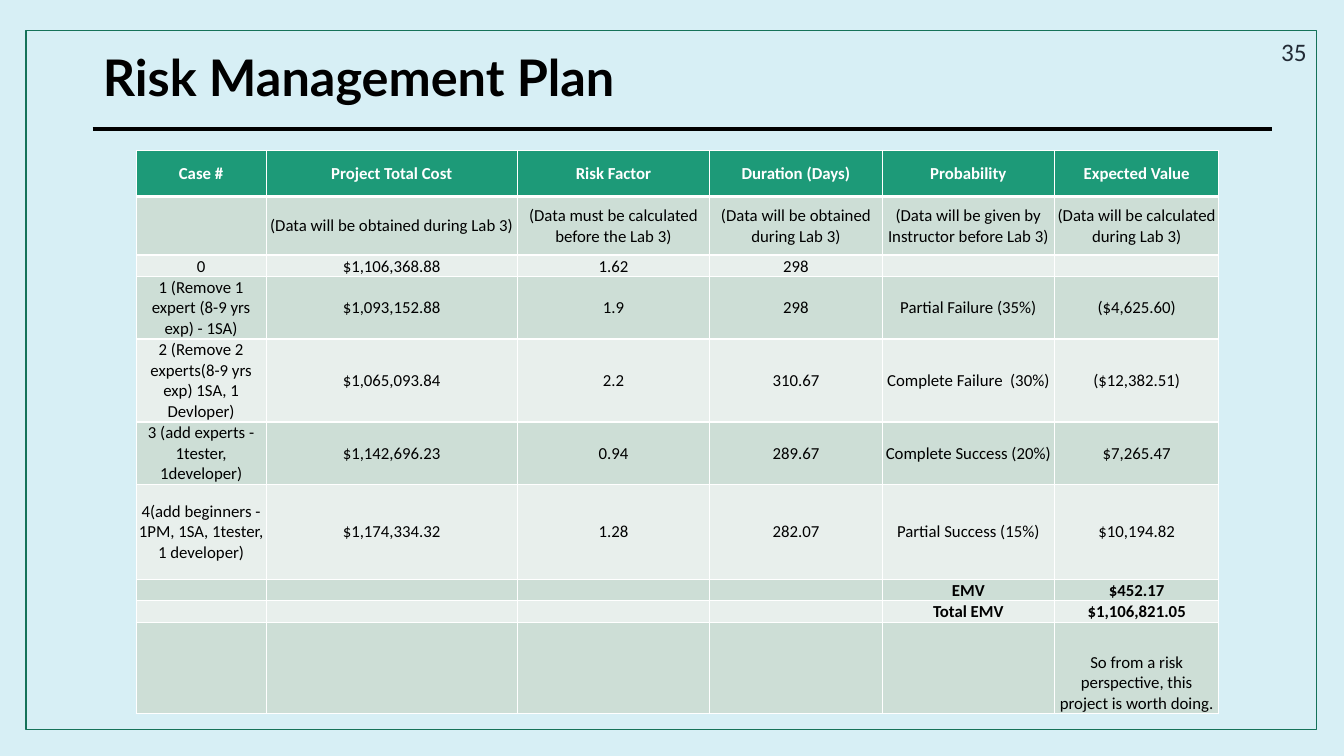
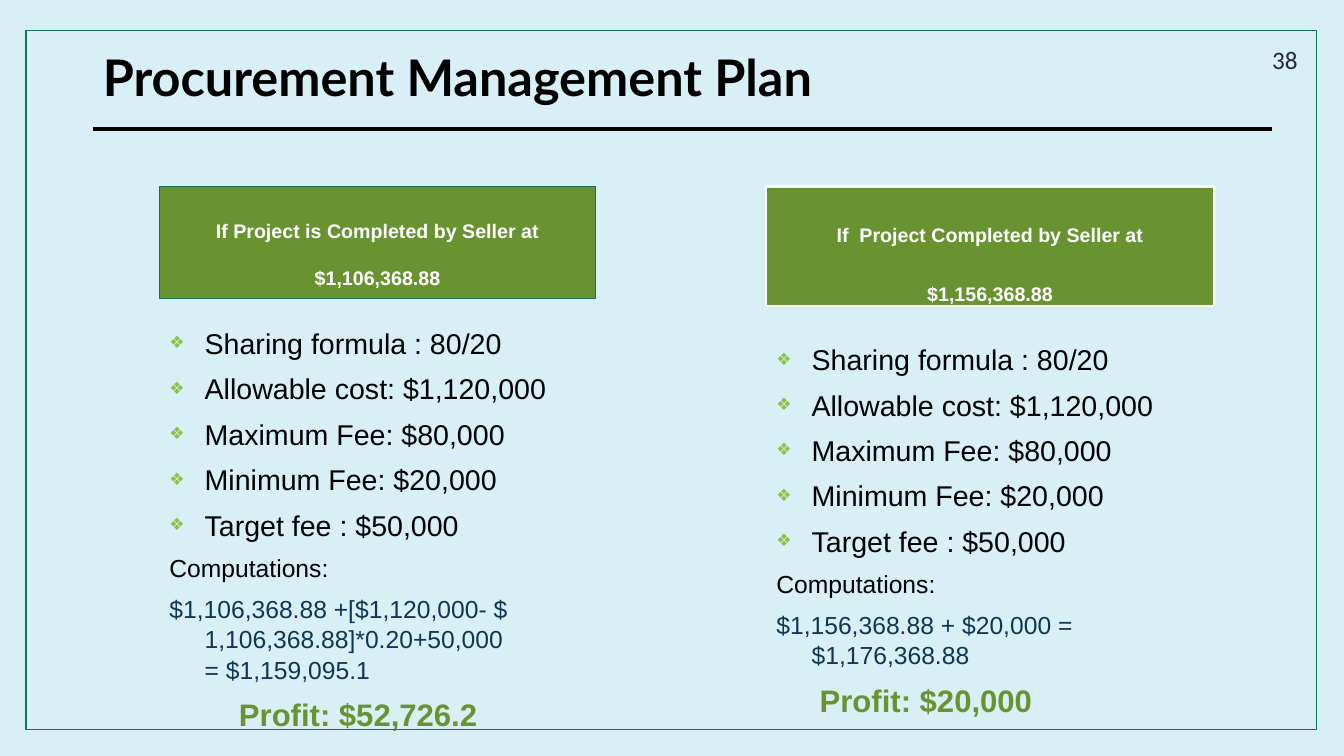
from lxml import etree
from pptx import Presentation
from pptx.dml.color import RGBColor
from pptx.enum.shapes import MSO_CONNECTOR, MSO_SHAPE
from pptx.enum.text import MSO_ANCHOR, MSO_AUTO_SIZE, PP_ALIGN
from pptx.oxml.ns import qn
from pptx.util import Inches, Pt

STRAIGHT = MSO_CONNECTOR.STRAIGHT
RECTANGLE = MSO_SHAPE.RECTANGLE
MIDDLE, BOTTOM, TOP = MSO_ANCHOR.MIDDLE, MSO_ANCHOR.BOTTOM, MSO_ANCHOR.TOP
LEFT, CENTER, RIGHT = PP_ALIGN.LEFT, PP_ALIGN.CENTER, PP_ALIGN.RIGHT
NO_AUTOSIZE = MSO_AUTO_SIZE.NONE

SKY = RGBColor(0xD7, 0xEF, 0xF5)
BLACK = RGBColor(0, 0, 0)
WHITE = RGBColor(0xFF, 0xFF, 0xFF)
PINE = RGBColor(0x15, 0x72, 0x59)
TEAL = RGBColor(0x1D, 0x9A, 0x78)
SAGE = RGBColor(0xCD, 0xDE, 0xD6)
MIST = RGBColor(0xE8, 0xEF, 0xEC)
OLIVE = RGBColor(0x69, 0x93, 0x31)
LIME = RGBColor(0x8B, 0xC1, 0x45)
NAVY = RGBColor(0x0F, 0x37, 0x54)
SLATE = RGBColor(0x22, 0x2A, 0x35)

TITLE_FONT = {"name": "Lato", "size": Pt(36), "bold": True, "color": BLACK}
NUMBER_FONT = {"name": "Calibri", "size": Pt(18), "color": SLATE}
HEADER_FONT = {"name": "Calibri", "size": Pt(12), "bold": True, "color": WHITE}
CELL_FONT = {**HEADER_FONT, "bold": False, "color": BLACK}
TOTAL_FONT = {**CELL_FONT, "bold": True}
BANNER_FONT = {"name": "Arial", "size": Pt(14), "bold": True, "color": WHITE}
TERM_FONT = {"name": "Arial", "size": Pt(20.4), "color": BLACK}
LABEL_FONT = {**TERM_FONT, "size": Pt(17.6)}
FORMULA_FONT = {**LABEL_FONT, "color": NAVY}
PROFIT_FONT = {"name": "Arial", "size": Pt(22.2), "bold": True, "color": OLIVE}

HANG = 0.35
COLUMN_WIDTHS = [1.29, 2.49, 1.91, 1.71, 1.71, 1.63]
ROW_HEIGHTS = [0.46, 0.58, 0.21, 0.61, 0.81, 0.61, 0.94, 0.21, 0.21, 0.91]
RISK_ROWS = [
    ["Case #", "Project Total Cost", "Risk Factor", "Duration (Days)",
     "Probability", "Expected Value"],
    ["", "(Data will be obtained during Lab 3)",
     "(Data must be calculated before the Lab 3)",
     "(Data will be obtained during Lab 3)",
     "(Data will be given by Instructor before Lab 3)",
     "(Data will be calculated during Lab 3)"],
    ["0", "$1,106,368.88", "1.62", "298", "", ""],
    ["1 (Remove 1 expert (8-9 yrs exp) - 1SA)", "$1,093,152.88", "1.9", "298",
     "Partial Failure (35%)", "($4,625.60)"],
    ["2 (Remove 2 experts(8-9 yrs exp) 1SA, 1 Devloper)", "$1,065,093.84",
     "2.2", "310.67", "Complete Failure  (30%)", "($12,382.51)"],
    ["3 (add experts - 1tester, 1developer)", "$1,142,696.23", "0.94",
     "289.67", "Complete Success (20%)", "$7,265.47"],
    ["4(add beginners - 1PM, 1SA, 1tester, 1 developer)", "$1,174,334.32",
     "1.28", "282.07", "Partial Success (15%)", "$10,194.82"],
    ["", "", "", "", "EMV", "$452.17"],
    ["", "", "", "", "Total EMV", "$1,106,821.05"],
    ["", "", "", "", "", "So from a risk perspective, this project is worth doing."],
]
TOTAL_ROWS = (7, 8)
CONTRACT_TERMS = [
    "Sharing formula : 80/20",
    "Allowable cost: $1,120,000",
    "Maximum Fee: $80,000",
    "Minimum Fee: $20,000",
    "Target fee : $50,000",
]
SELLER_CASES = [
    {"banner": "If Project is Completed by Seller at $1,106,368.88",
     "banner_box": (1.58, 1.85, 4.33, 1.11), "spacing": 2.0,
     "outline": (PINE, 1), "list_box": (1.58, 3.17, 4.33, 3.92),
     "formula": ["$1,106,368.88 +[$1,120,000- $ 1,106,368.88]*0.20+50,000",
                 "= $1,159,095.1"],
     "profit": "Profit: $52,726.2", "profit_indent": 0.69},
    {"banner": "If  Project Completed by Seller at $1,156,368.88",
     "banner_box": (7.6, 1.85, 4.44, 1.19), "spacing": 2.5,
     "outline": (WHITE, 1.5), "list_box": (7.6, 3.33, 4.44, 3.62),
     "formula": ["$1,156,368.88 + $20,000 = $1,176,368.88"],
     "profit": "Profit: $20,000", "profit_indent": 0.43},
]


def inches(box):
    return [Inches(length) for length in box]


def place(shape, box):
    for name, length in zip(("left", "top", "width", "height"), inches(box)):
        setattr(shape, name, length)


def write(paragraph, text, font, **formats):
    run = paragraph.add_run()
    run.text = text
    for name, value in font.items():
        if name == "color":
            run.font.color.rgb = value
        else:
            setattr(run.font, name, value)
    for name, value in formats.items():
        setattr(paragraph, name, value)


def set_frame(text_frame, anchor):
    formats = {"word_wrap": True, "auto_size": NO_AUTOSIZE, "vertical_anchor": anchor}
    for name, value in formats.items():
        setattr(text_frame, name, value)


def add_rectangle(slide, box, outline, fill=None):
    shape = slide.shapes.add_shape(RECTANGLE, *inches(box))
    shape.shadow.inherit = False
    if fill is None:
        shape.fill.background()
    else:
        shape.fill.solid()
        shape.fill.fore_color.rgb = fill
    color, width = outline
    shape.line.color.rgb = color
    shape.line.width = Pt(width)
    return shape


def add_base_slide(presentation, layout_index, title, number, number_box):
    slide = presentation.slides.add_slide(presentation.slide_layouts[layout_index])
    slide.background.fill.solid()
    slide.background.fill.fore_color.rgb = SKY
    heading = slide.shapes.title
    place(heading, (0.92, 0.4, 11.5, 0.8))
    set_frame(heading.text_frame, MIDDLE)
    write(heading.text_frame.paragraphs[0], title, TITLE_FONT,
          alignment=LEFT, line_spacing=0.9)
    rule = slide.shapes.add_connector(STRAIGHT, *inches((0.92, 1.28, 12.62, 1.28)))
    rule.line.color.rgb = BLACK
    rule.line.width = Pt(2.25)
    etree.SubElement(rule._element.spPr, qn("a:effectLst"))
    add_rectangle(slide, (0.26, 0.3, 12.8, 6.94), (PINE, 1))
    number_shape = slide.shapes.add_textbox(*inches(number_box))
    set_frame(number_shape.text_frame, MIDDLE)
    write(number_shape.text_frame.paragraphs[0], number, NUMBER_FONT, alignment=RIGHT)
    return slide


def add_border(cell, side, width):
    line = etree.SubElement(cell._tc.get_or_add_tcPr(), qn(f"a:ln{side}"), w=str(Pt(width)))
    fill = etree.SubElement(line, qn("a:solidFill"))
    etree.SubElement(fill, qn("a:srgbClr"), val=str(WHITE))


def format_cell(cell, text, row_index, last_row):
    is_header = row_index == 0
    margins = {"margin_left": 0.01, "margin_right": 0.01, "margin_top": 0.01, "margin_bottom": 0}
    for name, length in margins.items():
        setattr(cell, name, Inches(length))
    cell.vertical_anchor = BOTTOM if row_index == last_row else MIDDLE
    for side in "LRTB":
        under_header = (row_index, side) in ((0, "B"), (1, "T"))
        add_border(cell, side, 3 if under_header else 1)
    cell.fill.solid()
    cell.fill.fore_color.rgb = TEAL if is_header else (SAGE if row_index % 2 else MIST)
    paragraph = cell.text_frame.paragraphs[0]
    if not text:
        etree.SubElement(paragraph._p, qn("a:endParaRPr"), sz="1200")
        return
    font = HEADER_FONT if is_header else TOTAL_FONT if row_index in TOTAL_ROWS else CELL_FONT
    write(paragraph, text, font, alignment=CENTER)


def add_risk_table(slide, box):
    table = slide.shapes.add_table(len(RISK_ROWS), len(COLUMN_WIDTHS), *inches(box)).table
    table.horz_banding = False
    for column, width in zip(table.columns, COLUMN_WIDTHS):
        column.width = Inches(width)
    for row_index, texts in enumerate(RISK_ROWS):
        table.rows[row_index].height = Inches(ROW_HEIGHTS[row_index])
        for column_index, text in enumerate(texts):
            format_cell(table.cell(row_index, column_index), text,
                        row_index, len(RISK_ROWS) - 1)


def set_bullet(paragraph, left, first_line, bulleted):
    properties = paragraph._p.get_or_add_pPr()
    properties.set("marL", str(Inches(left)))
    properties.set("indent", str(Inches(first_line)))
    if not bulleted:
        etree.SubElement(properties, qn("a:buNone"))
        return
    color = etree.SubElement(properties, qn("a:buClr"))
    etree.SubElement(color, qn("a:srgbClr"), val=str(LIME))
    etree.SubElement(properties, qn("a:buSzPct"), val="60000")
    etree.SubElement(properties, qn("a:buFont"), typeface="Arial")
    etree.SubElement(properties, qn("a:buChar"), char="❖")


def add_seller_case(slide, placeholder, case):
    banner = add_rectangle(slide, case["banner_box"], case["outline"], OLIVE)
    set_frame(banner.text_frame, MIDDLE)
    write(banner.text_frame.paragraphs[0], case["banner"], BANNER_FONT,
          alignment=CENTER, line_spacing=case["spacing"], space_before=Pt(7))
    place(placeholder, case["list_box"])
    text_frame = placeholder.text_frame
    set_frame(text_frame, TOP)
    formula, *results = case["formula"]
    lines = [(term, TERM_FONT, HANG, -HANG, 7) for term in CONTRACT_TERMS]
    lines.append(("Computations:", LABEL_FONT, 0, 0, 7))
    lines.append((formula, FORMULA_FONT, HANG, -HANG, 7))
    lines += [(result, FORMULA_FONT, HANG, 0, 0) for result in results]
    lines.append((case["profit"], PROFIT_FONT, case["profit_indent"], 0, 7))
    for index, (text, font, left, first_line, space) in enumerate(lines):
        paragraph = text_frame.add_paragraph() if index else text_frame.paragraphs[0]
        write(paragraph, text, font, alignment=LEFT, line_spacing=1.04, space_before=Pt(space))
        set_bullet(paragraph, left, first_line, font is TERM_FONT)


def build_risk_slide(presentation):
    slide = add_base_slide(presentation, 5, "Risk Management Plan", "35", (10.06, 0.31, 3, 0.4))
    add_risk_table(slide, (1.35, 1.49, 10.74, 5.53))


def build_procurement_slide(presentation):
    slide = add_base_slide(presentation, 3, "Procurement Management Plan", "38",
                           (9.97, 0.39, 3, 0.4))
    for index, case in enumerate(SELLER_CASES, start=1):
        add_seller_case(slide, slide.placeholders[index], case)


def main():
    presentation = Presentation()
    presentation.slide_width = Inches(13.33)
    presentation.slide_height = Inches(7.5)
    build_risk_slide(presentation)
    build_procurement_slide(presentation)
    presentation.save("out.pptx")


if __name__ == "__main__":
    main()
